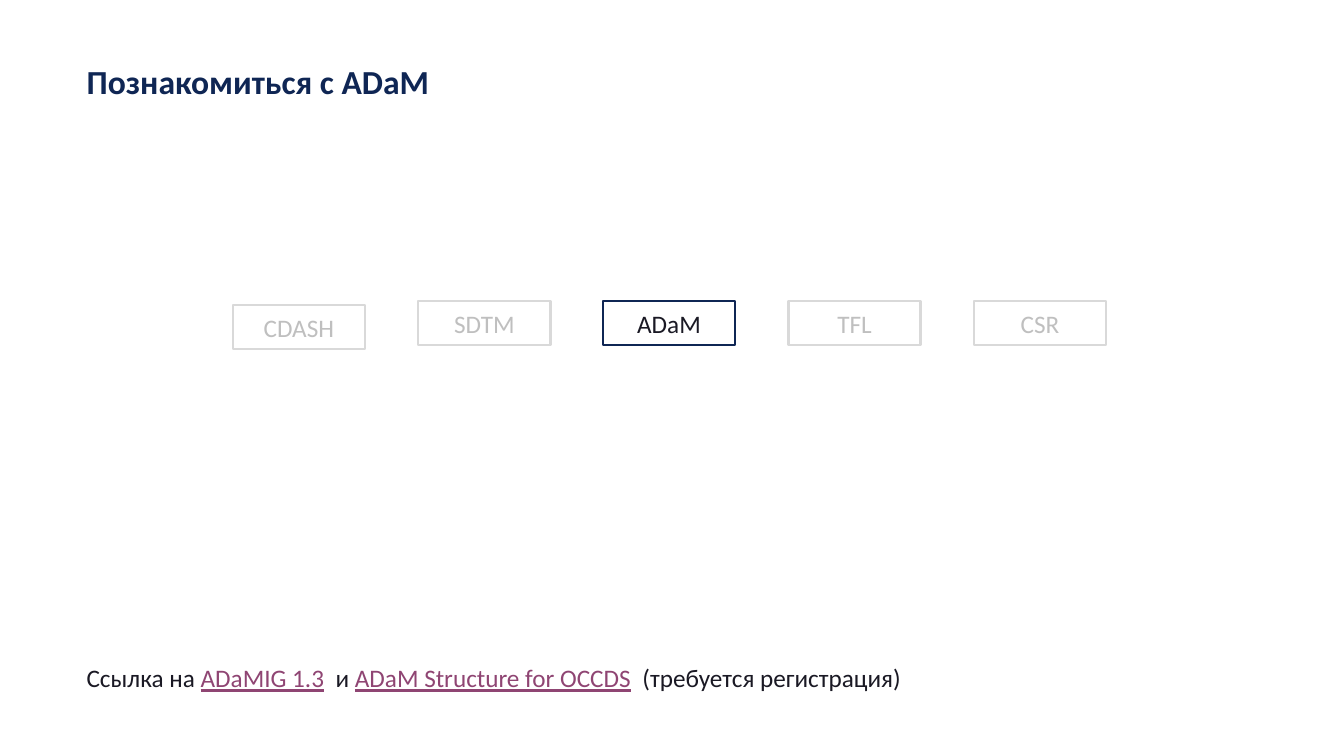
from pptx import Presentation
from pptx.dml.color import RGBColor
from pptx.enum.shapes import MSO_SHAPE
from pptx.enum.text import MSO_ANCHOR, MSO_AUTO_SIZE, PP_ALIGN
from pptx.util import Inches, Pt

RECTANGLE = MSO_SHAPE.RECTANGLE
TOP, MIDDLE = MSO_ANCHOR.TOP, MSO_ANCHOR.MIDDLE
LEFT, CENTER = PP_ALIGN.LEFT, PP_ALIGN.CENTER
NO_AUTOFIT = MSO_AUTO_SIZE.NONE
COLORS = {
    "navy": "0F2654",
    "ink": "1A1924",
    "link": "8F4573",
    "muted_line": "D9D9D9",
    "muted_text": "BFBFBF",
}


def write_runs(shape, runs, size=18, bold=False, align=LEFT, anchor=TOP, spacing=0.9):
    frame = shape.text_frame
    frame.word_wrap = True
    frame.auto_size = NO_AUTOFIT
    frame.vertical_anchor = anchor
    paragraph = frame.paragraphs[0]
    paragraph.alignment = align
    paragraph.line_spacing = spacing
    paragraph.space_before = Pt(0)
    for text, color in runs:
        run = paragraph.add_run()
        run.text = text
        run.font.name = "Calibri"
        run.font.size = Pt(size)
        run.font.bold = bold
        run.font.underline = color == "link"
        run.font.color.rgb = RGBColor.from_string(COLORS[color])


presentation = Presentation()
presentation.slide_width = Inches(13.33)
presentation.slide_height = Inches(7.5)
slide = presentation.slides.add_slide(presentation.slide_layouts[5])

title = slide.shapes.title
title.left, title.top = Inches(0.76), Inches(0.6)
title.width, title.height = Inches(9.39), Inches(0.98)
write_runs(title, [("Познакомиться с ADaM", "navy")], size=24, bold=True)

stages = ["CDASH", "SDTM", "ADaM", "TFL", "CSR"]
current_stage = "ADaM"
stage_tops = {"CDASH": 3.03}
first_left, last_left = 2.31, 9.66
stage_step = (last_left - first_left) / (len(stages) - 1)
for index, stage in enumerate(stages):
    box = slide.shapes.add_shape(
        RECTANGLE,
        Inches(round(first_left + index * stage_step - 0.001, 2)),
        Inches(stage_tops.get(stage, 2.99)),
        Inches(1.31),
        Inches(0.43),
    )
    is_current = stage == current_stage
    line_color = "navy" if is_current else "muted_line"
    text_color = "ink" if is_current else "muted_text"
    box.shadow.inherit = False
    box.fill.background()
    box.line.color.rgb = RGBColor.from_string(COLORS[line_color])
    box.line.width = Pt(1.5)
    write_runs(box, [(stage, text_color)], align=CENTER, anchor=MIDDLE, spacing=1.0)

references = slide.shapes.add_textbox(Inches(0.76), Inches(6.56), Inches(11.42), Inches(0.34))
write_runs(references, [
    ("Ссылка на ", "ink"),
    ("ADaMIG 1.3", "link"),
    ("  и ", "ink"),
    ("ADaM Structure for OCCDS", "link"),
    ("  (требуется регистрация)", "ink"),
])

presentation.save("out.pptx")
